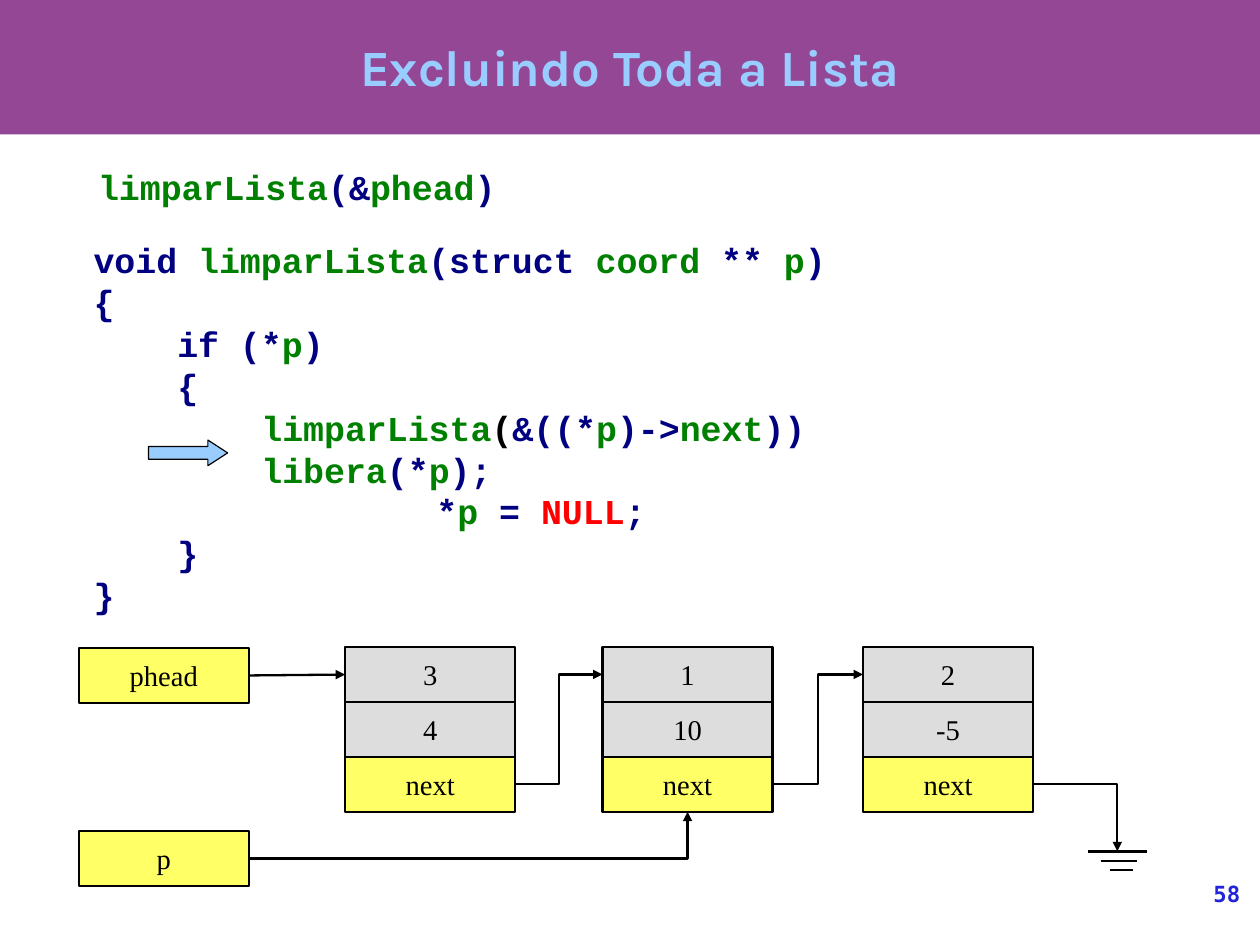
from lxml import etree
from pptx import Presentation
from pptx.dml.color import RGBColor
from pptx.enum.shapes import MSO_CONNECTOR, MSO_SHAPE
from pptx.enum.text import MSO_ANCHOR, PP_ALIGN
from pptx.oxml.ns import qn
from pptx.util import Cm, Pt

STRAIGHT, ELBOW = MSO_CONNECTOR.STRAIGHT, MSO_CONNECTOR.ELBOW
RECTANGLE, RIGHT_ARROW = MSO_SHAPE.RECTANGLE, MSO_SHAPE.RIGHT_ARROW
CENTER, RIGHT = PP_ALIGN.CENTER, PP_ALIGN.RIGHT
MIDDLE = MSO_ANCHOR.MIDDLE
BOTTOM_SIDE, LEFT_SIDE, RIGHT_SIDE = 2, 1, 3

PURPLE = RGBColor(0x94, 0x47, 0x94)
SKY = RGBColor(0x99, 0xCC, 0xFF)
NAVY = RGBColor(0x00, 0x00, 0x80)
GREEN = RGBColor(0x00, 0x80, 0x00)
RED = RGBColor(0xFF, 0x00, 0x00)
BLACK = RGBColor(0x00, 0x00, 0x00)
YELLOW = RGBColor(0xFF, 0xFF, 0x66)
GRAY = RGBColor(0xDD, 0xDD, 0xDD)
BLUE = RGBColor(0x23, 0x23, 0xDC)

CELL_W, CELL_H = 3.78, 1.22
NODE_TOP = 14.38
POINTER_LEFT = 1.75
LINE_WIDTH = Pt(1.45)

prs = Presentation()
prs.slide_width, prs.slide_height = Cm(28), Cm(21)
slide = prs.slides.add_slide(prs.slide_layouts[5])
shapes = slide.shapes


def add_cell(left, top, label, fill):
    cell = shapes.add_shape(RECTANGLE, Cm(left), Cm(top), Cm(CELL_W), Cm(CELL_H))
    cell.shadow.inherit = False
    cell.fill.solid()
    cell.fill.fore_color.rgb = fill
    cell.line.color.rgb = BLACK
    cell.line.width = LINE_WIDTH
    frame = cell.text_frame
    frame.word_wrap = False
    frame.vertical_anchor = MIDDLE
    paragraph = frame.paragraphs[0]
    paragraph.alignment = CENTER
    run = paragraph.add_run()
    run.text = label
    run.font.name, run.font.size = "Times New Roman", Pt(18)
    run.font.color.rgb = BLACK
    return cell


def add_line(kind, x1, y1, x2, y2, arrow=True, single_bend=False):
    line = shapes.add_connector(kind, Cm(x1), Cm(y1), Cm(x2), Cm(y2))
    line.line.color.rgb = BLACK
    line.line.width = LINE_WIDTH
    properties = line._element.spPr
    if single_bend:
        properties.find(qn("a:prstGeom")).set("prst", "bentConnector2")
    if arrow:
        etree.SubElement(properties.find(qn("a:ln")), qn("a:tailEnd"), type="triangle")
    etree.SubElement(properties, qn("a:effectLst"))
    return line


# Title on its band
band = shapes.add_shape(RECTANGLE, 0, Cm(-0.03), Cm(28), Cm(3.02))
band.shadow.inherit = False
band.fill.solid()
band.fill.fore_color.rgb = PURPLE
band.line.fill.background()
shapes._spTree.insert(2, band._element)

title = shapes.title
title.left, title.top, title.width, title.height = Cm(1.4), Cm(-0.03), Cm(25.2), Cm(3)
title_frame = title.text_frame
title_frame.margin_left = title_frame.margin_right = 0
title_frame.margin_top = title_frame.margin_bottom = 0
title_frame.vertical_anchor = MIDDLE
title_frame.paragraphs[0].alignment = CENTER
title_run = title_frame.paragraphs[0].add_run()
title_run.text = "Excluindo Toda a Lista"
title_run.font.name, title_run.font.size, title_run.font.bold = "Karla", Pt(32), True
title_run.font.color.rgb = SKY

# Code: each line has an indent in cm and its coloured tokens
call = [(0, [("limparLista", GREEN), ("(&", NAVY), ("phead", GREEN), (")", NAVY)])]
function = [
    (0, [("void ", NAVY), ("limparLista", GREEN), ("(struct ", NAVY), ("coord ", GREEN),
         ("** ", NAVY), ("p", GREEN), (")", NAVY)]),
    (0, [("{", NAVY)]),
    (1.86, [("if (*", NAVY), ("p", GREEN), (")", NAVY)]),
    (1.86, [("{", NAVY)]),
    (3.73, [("limparLista", GREEN), ("(", BLACK), ("&((*", NAVY), ("p", GREEN),
            (")->", NAVY), ("next", GREEN), ("))", NAVY)]),
    (3.73, [("libera", GREEN), ("(*", NAVY), ("p", GREEN), (");", NAVY)]),
    (7.62, [("*", NAVY), ("p", GREEN), (" = ", NAVY), ("NULL", RED), (";", NAVY)]),
    (1.86, [("}", NAVY)]),
    (0, [("}", NAVY)]),
]
for left, top, width, height, code in [(1.93, 3.56, 21.46, 1.12, call),
                                       (1.83, 5.18, 26.17, 9.1, function)]:
    listing = shapes.add_textbox(Cm(left), Cm(top), Cm(width), Cm(height)).text_frame
    listing.word_wrap = True
    for number, (indent, tokens) in enumerate(code):
        paragraph = listing.add_paragraph() if number else listing.paragraphs[0]
        paragraph._p.get_or_add_pPr().set("marL", str(Cm(indent)))
        for token, color in tokens:
            run = paragraph.add_run()
            run.text = token
            run.font.name, run.font.size, run.font.bold = "Courier New", Pt(22), True
            run.font.color.rgb = color

step_arrow = shapes.add_shape(RIGHT_ARROW, Cm(3.3), Cm(9.78), Cm(1.76), Cm(0.57))
step_arrow.adjustments[1] = 0.77
step_arrow.shadow.inherit = False
step_arrow.fill.solid()
step_arrow.fill.fore_color.rgb = SKY
step_arrow.line.color.rgb = BLACK
step_arrow.line.width = Pt(0)

# Linked list
phead = add_cell(POINTER_LEFT, 14.4, "phead", YELLOW)
p = add_cell(POINTER_LEFT, 18.47, "p", YELLOW)
nodes = []
for left, x, y in [(7.67, "3", "4"), (13.39, "1", "10"), (19.18, "2", "-5")]:
    fields = [(x, GRAY), (y, GRAY), ("next", YELLOW)]
    cells = [add_cell(left, NODE_TOP + row * CELL_H, label, fill)
             for row, (label, fill) in enumerate(fields)]
    nodes.append((left, cells))

first_y = NODE_TOP + CELL_H / 2
next_y = NODE_TOP + 2.5 * CELL_H
pointer_right = POINTER_LEFT + CELL_W

head_link = add_line(STRAIGHT, pointer_right, first_y, nodes[0][0], first_y)
head_link.begin_connect(phead, RIGHT_SIDE)
head_link.end_connect(nodes[0][1][0], LEFT_SIDE)

for (left, cells), (next_left, next_cells) in zip(nodes, nodes[1:]):
    next_link = add_line(ELBOW, left + CELL_W, next_y, next_left, first_y)
    next_link.begin_connect(cells[2], RIGHT_SIDE)
    next_link.end_connect(next_cells[0], LEFT_SIDE)

p_link = add_line(ELBOW, pointer_right, 19.08, nodes[1][0] + CELL_W / 2,
                  NODE_TOP + 3 * CELL_H, single_bend=True)
p_link.begin_connect(p, RIGHT_SIDE)
p_link.end_connect(nodes[1][1][2], BOTTOM_SIDE)

# Ground symbol that ends the list
for x1, x2, y in [(24.18, 25.48, 18.92), (24.46, 25.27, 19.13), (24.66, 25.17, 19.33)]:
    add_line(STRAIGHT, x1, y, x2, y, arrow=False)
ground_link = add_line(ELBOW, nodes[2][0] + CELL_W, next_y, 24.83, 18.92, single_bend=True)
ground_link.begin_connect(nodes[2][1][2], RIGHT_SIDE)

# Page number
page = shapes.add_textbox(Cm(23.29), Cm(19.56), Cm(4.27), Cm(1.44)).text_frame
page.word_wrap = True
page.margin_left = page.margin_right = page.margin_top = page.margin_bottom = 0
page.paragraphs[0].alignment = RIGHT
page_run = page.paragraphs[0].add_run()
page_run.text = "58"
page_run.font.name, page_run.font.size, page_run.font.bold = "DejaVu Sans Mono", Pt(14), True
page_run.font.color.rgb = BLUE

prs.save("out.pptx")
